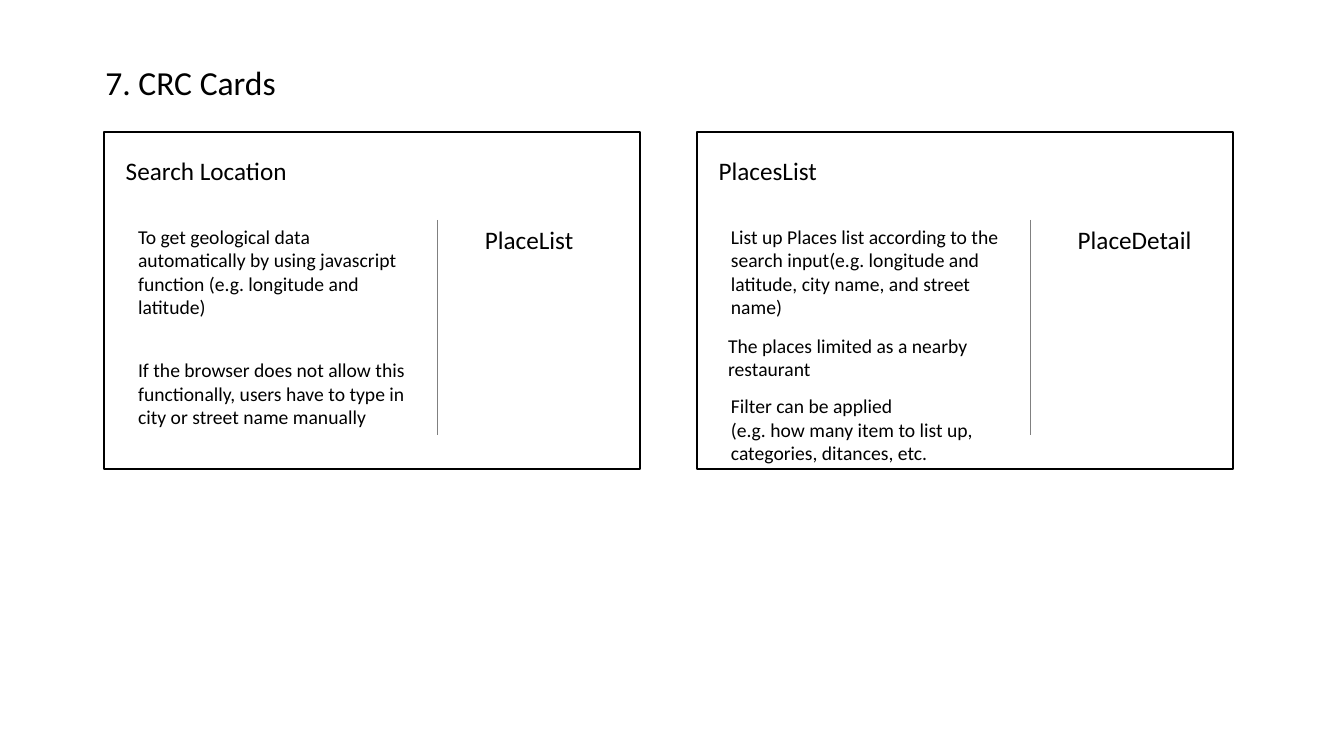
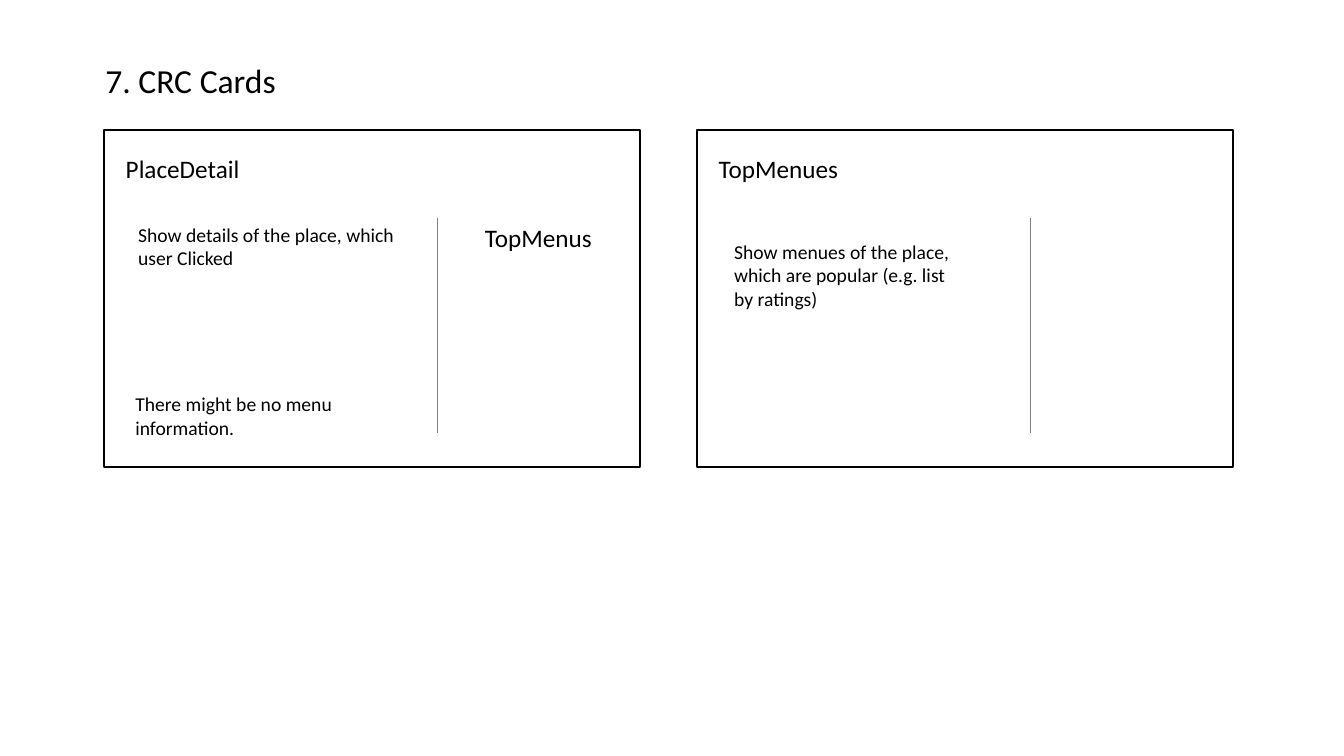
from dataclasses import dataclass

from lxml import etree
from pptx import Presentation
from pptx.dml.color import RGBColor
from pptx.enum.shapes import MSO_CONNECTOR, MSO_SHAPE
from pptx.enum.text import MSO_ANCHOR, MSO_AUTO_SIZE, PP_ALIGN
from pptx.oxml.ns import qn
from pptx.util import Cm, Pt

RECT = MSO_SHAPE.RECTANGLE
LINE = MSO_CONNECTOR.STRAIGHT
TOP = MSO_ANCHOR.TOP
LEFT = PP_ALIGN.LEFT
GROW = MSO_AUTO_SIZE.SHAPE_TO_FIT_TEXT
TITLE_ONLY = 5


@dataclass(frozen=True)
class Theme:
    font: str = "Calibri"
    ink: RGBColor = RGBColor(0, 0, 0)
    rule: RGBColor = RGBColor(128, 128, 128)
    title: int = 24
    head: int = 18
    note: int = 14
    frame: float = 1.5
    thin: float = 1


# Card grid, in centimetres
CARD_X, CARD_W, CARD_H = 2.62, 13.51, 8.48
PITCH = 14.94
HEAD_X, HEAD_Y, HEAD_H = 0.3, 0.46, 1.02
BODY_Y, RULE_X, RULE_H = 2.21, 8.41, 5.41
MATE_X = 9.35
NOTE_X, NOTE_W = 0.61, 7.34

# Per slide: top of the cards, then the cards.
# Card: (name, width), (collaborator, width) or None, notes.
# Note: text, line count, x and y within the card, width.
SLIDES = [
    (3.33, [
        (("Search Location", 4.62), ("PlaceList", 2.77), [
            ("To get geological data automatically by using javascript "
             "function (e.g. longitude and latitude)",
             4, NOTE_X, BODY_Y, NOTE_W),
            ("If the browser does not allow this functionally, users have "
             "to type in city or street name manually",
             3, NOTE_X, 5.57, NOTE_W),
        ]),
        (("PlacesList", 3.02), ("PlaceDetail", 3.4), [
            ("List up Places list according to the search input(e.g. "
             "longitude and latitude, city name, and street name)",
             4, NOTE_X, BODY_Y, NOTE_W),
            ("The places limited as a nearby restaurant",
             2, 0.54, 4.95, NOTE_W),
            ("Filter can be applied \v(e.g. how many item to list up, "
             "categories, ditances, etc.",
             3, NOTE_X, 6.48, NOTE_W),
        ]),
    ]),
    (3.28, [
        (("PlaceDetail", 3.4), ("TopMenus", 3.25), [
            ("Show details of the place, which user Clicked",
             2, NOTE_X, BODY_Y, NOTE_W),
            ("There might be no menu information.",
             2, 0.54, 6.48, NOTE_W),
        ]),
        (("TopMenues", 3.56), None, [
            ("Show menues of the place, which are popular "
             "(e.g. list by ratings)",
             3, 0.69, 2.63, 6.3),
        ]),
    ]),
]


class Deck:
    def __init__(self, theme):
        self.theme = theme
        self.prs = Presentation()
        self.prs.slide_width = Cm(33.87)
        self.prs.slide_height = Cm(19.05)
        self.slide = None

    def style(self, shape, text, size, wrap):
        frame = shape.text_frame
        frame.text = text
        frame.word_wrap = wrap
        frame.auto_size = GROW
        frame.vertical_anchor = TOP
        for para in frame.paragraphs:
            para.alignment = LEFT
            for run in para.runs:
                run.font.name = self.theme.font
                run.font.size = Pt(size)
                run.font.color.rgb = self.theme.ink

    def page(self, title, top):
        layout = self.prs.slide_layouts[TITLE_ONLY]
        self.slide = self.prs.slides.add_slide(layout)
        shape = self.slide.shapes.title
        shape.left, shape.top = Cm(2.4), Cm(top)
        shape.width, shape.height = Cm(4.85), Cm(1.28)
        self.style(shape, title, self.theme.title, False)

    def text(self, text, x, y, w, h, size, wrap=False):
        box = self.slide.shapes.add_textbox(Cm(x), Cm(y), Cm(w), Cm(h))
        self.style(box, text, size, wrap)

    def frame(self, x, y, w, h):
        box = self.slide.shapes.add_shape(RECT, Cm(x), Cm(y), Cm(w), Cm(h))
        box.shadow.inherit = False
        box.fill.background()
        box.line.color.rgb = self.theme.ink
        box.line.width = Pt(self.theme.frame)

    def rule(self, x, y, h):
        line = self.slide.shapes.add_connector(
            LINE, Cm(x), Cm(y), Cm(x), Cm(y + h))
        line.line.color.rgb = self.theme.rule
        line.line.width = Pt(self.theme.thin)
        etree.SubElement(line._element.spPr, qn("a:effectLst"))

    def card(self, x, y, head, mate, notes):
        size = self.theme.head
        self.frame(x, y, CARD_W, CARD_H)
        name, width = head
        self.text(name, x + HEAD_X, y + HEAD_Y, width, HEAD_H, size)
        for text, lines, dx, dy, w in notes:
            h = 0.25 + 0.6 * lines
            self.text(text, x + dx, y + dy, w, h, self.theme.note, True)
        self.rule(x + RULE_X, y + BODY_Y, RULE_H)
        if mate:
            name, width = mate
            self.text(name, x + MATE_X, y + BODY_Y, width, HEAD_H, size)


def main():
    deck = Deck(Theme())
    for top, cards in SLIDES:
        deck.page("7. CRC Cards", top - 1.91)
        for col, (head, mate, notes) in enumerate(cards):
            deck.card(CARD_X + col * PITCH, top, head, mate, notes)
    deck.prs.save("out.pptx")


if __name__ == "__main__":
    main()
